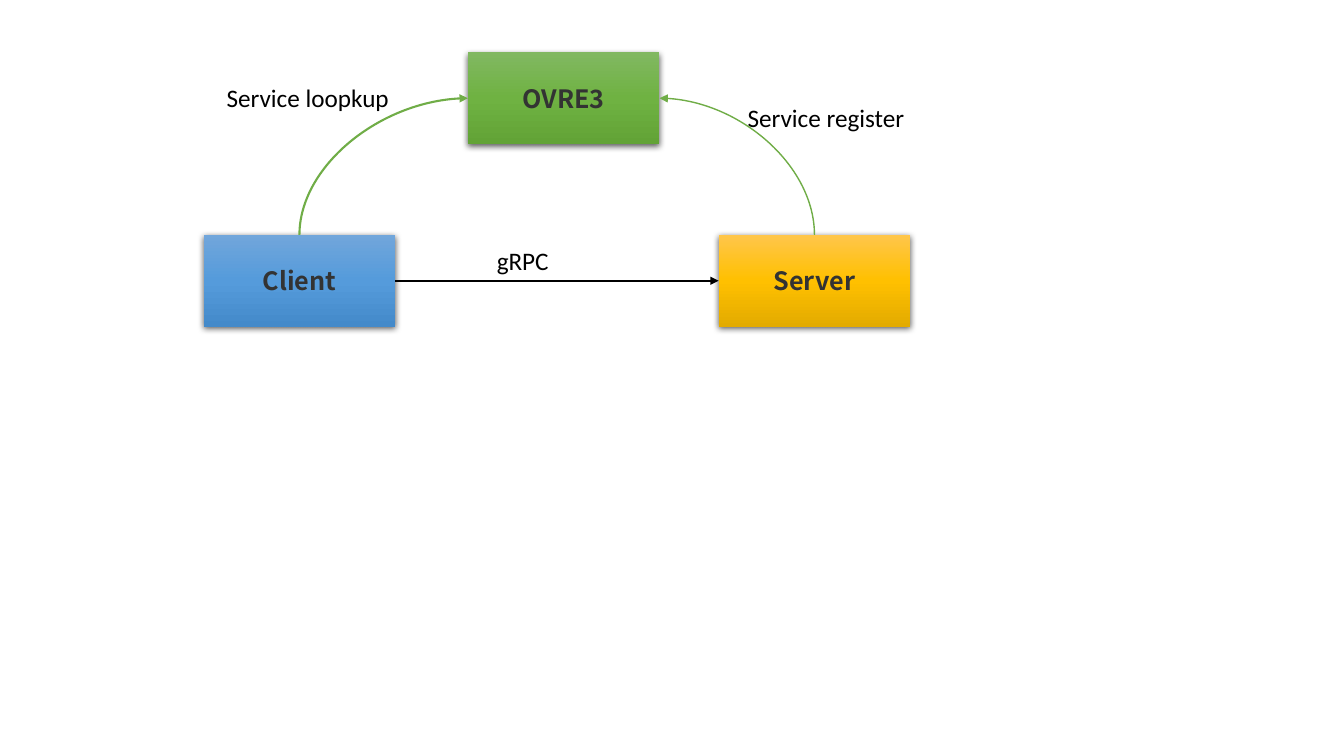
from copy import deepcopy

from lxml import etree
from pptx import Presentation
from pptx.dml.color import RGBColor
from pptx.enum.shapes import MSO_CONNECTOR, MSO_SHAPE
from pptx.enum.text import MSO_ANCHOR, MSO_AUTO_SIZE, PP_ALIGN
from pptx.oxml.ns import qn
from pptx.util import Cm, Pt

PROCESS = MSO_SHAPE.FLOWCHART_PROCESS
STRAIGHT, CURVE = MSO_CONNECTOR.STRAIGHT, MSO_CONNECTOR.CURVE
MIDDLE, CENTER = MSO_ANCHOR.MIDDLE, PP_ALIGN.CENTER
GROW = MSO_AUTO_SIZE.SHAPE_TO_FIT_TEXT
TOP, LEFT, RIGHT = 0, 1, 3  # connection sites of a box

BOX_WIDTH, BOX_HEIGHT, LABEL_HEIGHT = 4.83, 2.31, 1.02
# name: left, top, gradient from top to bottom
NODES = {
    "Client": (5.13, 5.92, ("71A6DB", "559BDB", "448ACA")),
    "Server": (18.11, 5.92, ("FFC64B", "FFC000", "E3AB00")),
    "OVRE3": (11.79, 1.32, ("81B861", "6FB242", "62A336")),
}
# kind, from, site, to, site, colour, points
LINKS = [
    (CURVE, "Server", TOP, "OVRE3", RIGHT, "70AD47", 1),
    (CURVE, "Client", TOP, "OVRE3", LEFT, "70AD47", 1.5),
    (STRAIGHT, "Client", RIGHT, "Server", LEFT, "000000", 1.5),
]
# wording, left, top, width
LABELS = [
    ("Service register", 18.59, 2.46, 4.5),
    ("Service loopkup", 5.46, 1.96, 4.65),
    ("gRPC", 12.27, 6.05, 1.83),
]


def rgb(color):
    return RGBColor.from_string(color)


def write(frame, wording, font_name, color, bold=False):
    paragraph = frame.paragraphs[0]
    paragraph.text = wording
    font = paragraph.font
    font.name, font.size, font.bold = font_name, Pt(18), bold
    font.color.rgb = rgb(color)
    return paragraph


def add_drop_shadow(shape):
    effects = etree.SubElement(shape._element.spPr, qn("a:effectLst"))
    shadow = etree.SubElement(effects, qn("a:outerShdw"), blurRad=str(Pt(4.5)),
                              dist=str(Pt(1.5)), dir="5400000", algn="ctr", rotWithShape="0")
    black = etree.SubElement(shadow, qn("a:srgbClr"), val="000000")
    etree.SubElement(black, qn("a:alpha"), val="63000")


def add_node(slide, name, left, top, gradient):
    box = slide.shapes.add_shape(PROCESS, Cm(left), Cm(top), Cm(BOX_WIDTH), Cm(BOX_HEIGHT))
    box.fill.gradient()
    box.fill.gradient_angle = 270
    stops = box._element.spPr.find(".//" + qn("a:gsLst"))
    stops.insert(1, deepcopy(stops[0]))
    for stop, color, position in zip(box.fill.gradient_stops, gradient, (0, 0.5, 1)):
        stop.color.rgb, stop.position = rgb(color), position
    box.line.fill.background()
    add_drop_shadow(box)
    box.text_frame.vertical_anchor = MIDDLE
    write(box.text_frame, name, "Noto Sans CJK SC", "333333", bold=True).alignment = CENTER
    return box


def bend_upward(link):
    """Turn a link into a quarter arc that leaves upward and arrives sideways."""
    properties = link._element.spPr
    properties.find(qn("a:prstGeom")).set("prst", "curvedConnector2")
    goes_right = link.begin_x < link.end_x
    center_x, center_y = link.left + link.width // 2, link.top + link.height // 2
    link.width, link.height = link.height, link.width
    link.left, link.top = center_x - link.width // 2, center_y - link.height // 2
    frame = properties.find(qn("a:xfrm"))
    frame.set("rot", "5400000" if goes_right else "16200000")
    frame.set("flipH", "1" if goes_right else "0")
    frame.set("flipV", "1")


def add_link(slide, kind, source, source_site, target, target_site, color, points):
    link = slide.shapes.add_connector(kind, 0, 0, 0, 0)
    link.begin_connect(source, source_site)
    link.end_connect(target, target_site)
    if kind == CURVE:
        bend_upward(link)
    link.line.color.rgb, link.line.width = rgb(color), Pt(points)
    etree.SubElement(link.line._get_or_add_ln(), qn("a:tailEnd"), type="triangle")
    etree.SubElement(link._element.spPr, qn("a:effectLst"))


def add_label(slide, wording, left, top, width):
    label = slide.shapes.add_textbox(Cm(left), Cm(top), Cm(width), Cm(LABEL_HEIGHT))
    label.text_frame.word_wrap = False
    label.text_frame.auto_size = GROW
    write(label.text_frame, wording, "Calibri", "000000")


def main():
    deck = Presentation()
    deck.slide_width, deck.slide_height = Cm(33.87), Cm(19.05)
    slide = deck.slides.add_slide(deck.slide_layouts[6])
    boxes = {name: add_node(slide, name, *look) for name, look in NODES.items()}
    for kind, source, source_site, target, target_site, color, points in LINKS:
        add_link(slide, kind, boxes[source], source_site,
                 boxes[target], target_site, color, points)
    for label in LABELS:
        add_label(slide, *label)
    deck.save("out.pptx")


if __name__ == "__main__":
    main()
